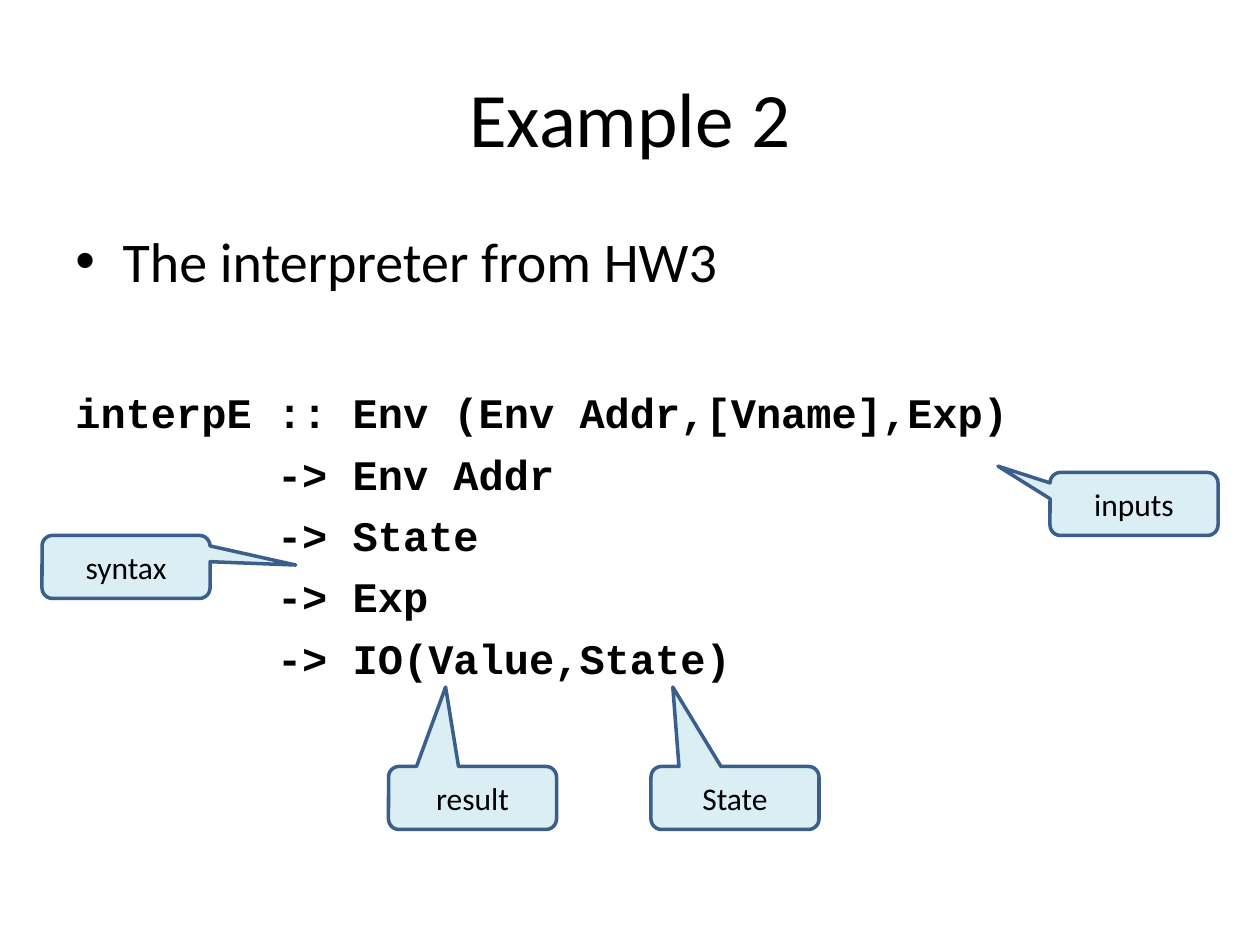
"""Build the "Example 2" slide: an interpreter type signature with callouts."""
from typing import NamedTuple

from lxml.etree import SubElement
from pptx import Presentation
from pptx.dml.color import RGBColor
from pptx.enum.shapes import MSO_SHAPE as Shape
from pptx.enum.text import MSO_ANCHOR as Anchor, PP_ALIGN as Align
from pptx.oxml.ns import qn
from pptx.util import Pt

SANS, MONO = "Calibri", "Courier New"
BLACK, PALE_BLUE, DARK_BLUE = "000000", "DBEEF4", "3A5F8C"
CALLOUT_WIDTH, CALLOUT_HEIGHT = 96, 36
HANGING = 27
BULLET_TEXT = "The interpreter from HW3"
SIGNATURE = [
    "interpE :: Env (Env Addr,[Vname],Exp)",
    "        -> Env Addr",
    "        -> State",
    "        -> Exp",
    "        -> IO(Value,State)",
]


class Callout(NamedTuple):
    label: str
    left: float
    top: float
    tip_x: float
    tip_y: float


CALLOUTS = [
    Callout("syntax", 24, 306, 1.01, -0.03),
    Callout("State", 372, 438, -0.37, -1.76),
    Callout("result", 222, 438, -0.16, -1.76),
    Callout("inputs", 600, 270, -0.81, -0.6),
]


def color(value: str) -> RGBColor:
    return RGBColor.from_string(value)


def style(paragraph, size: float, name: str = SANS, bold: bool = False) -> None:
    for span in paragraph.runs:
        span.font.size = Pt(size)
        span.font.name = name
        span.font.bold = bold
        span.font.color.rgb = color(BLACK)


def hang(paragraph, bullet: str = "") -> None:
    properties = paragraph._p.get_or_add_pPr()
    properties.set("marL", str(Pt(HANGING)))
    properties.set("indent", str(Pt(-HANGING)))
    if bullet:
        SubElement(properties, qn("a:buFont"), typeface="Arial")
        SubElement(properties, qn("a:buChar"), char=bullet)
    else:
        SubElement(properties, qn("a:buNone"))


def add_box(page, top: float, height: float):
    box = page.shapes.add_textbox(Pt(36), Pt(top), Pt(648), Pt(height))
    box.text_frame.word_wrap = True
    return box.text_frame


def add_title(page, text: str) -> None:
    frame = add_box(page, 21.6, 90)
    frame.vertical_anchor = Anchor.MIDDLE
    frame.text = text
    frame.paragraphs[0].alignment = Align.CENTER
    style(frame.paragraphs[0], 44)


def add_body(page) -> None:
    frame = add_box(page, 126, 356.4)
    frame.text = "\n".join([BULLET_TEXT, *SIGNATURE])
    heading, *code = frame.paragraphs
    hang(heading, "•")
    style(heading, 32)
    for index, paragraph in enumerate(code):
        hang(paragraph)
        paragraph.space_before = Pt(6.3 if index else 53)
        style(paragraph, 24, MONO, bold=True)


def add_callout(page, callout: Callout) -> None:
    shape = page.shapes.add_shape(
        Shape.ROUNDED_RECTANGULAR_CALLOUT, Pt(callout.left), Pt(callout.top),
        Pt(CALLOUT_WIDTH), Pt(CALLOUT_HEIGHT))
    shape.adjustments[0] = callout.tip_x
    shape.adjustments[1] = callout.tip_y
    shape.shadow.inherit = False
    shape.fill.solid()
    shape.fill.fore_color.rgb = color(PALE_BLUE)
    shape.line.color.rgb = color(DARK_BLUE)
    shape.line.width = Pt(2)
    frame = shape.text_frame
    frame.text = callout.label
    frame.vertical_anchor = Anchor.MIDDLE
    frame.paragraphs[0].alignment = Align.CENTER
    style(frame.paragraphs[0], 18)


def main() -> None:
    deck = Presentation()
    deck.slide_width, deck.slide_height = Pt(720), Pt(540)
    page = deck.slides.add_slide(deck.slide_layouts[6])
    add_title(page, "Example 2")
    add_body(page)
    for callout in CALLOUTS:
        add_callout(page, callout)
    deck.save("out.pptx")


if __name__ == "__main__":
    main()
